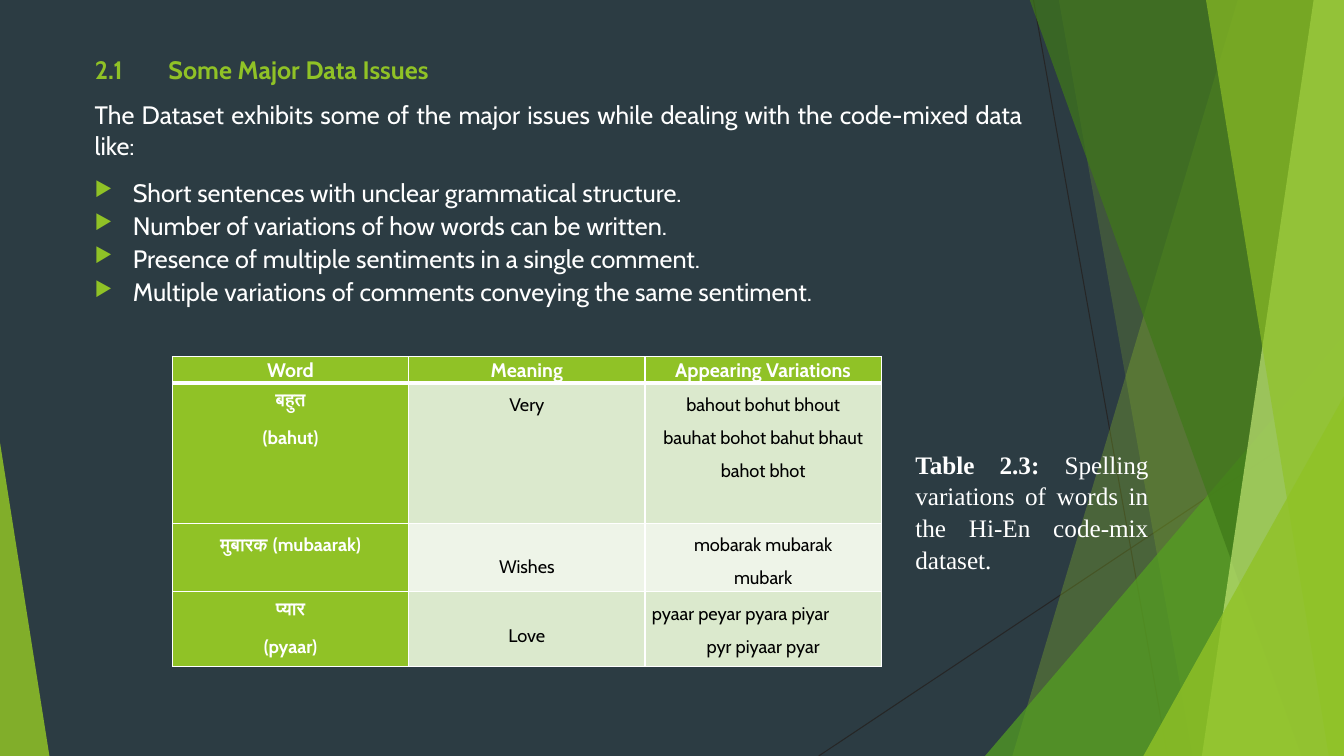
from dataclasses import dataclass

from lxml.etree import SubElement
from pptx import Presentation
from pptx.dml.color import RGBColor
from pptx.enum.shapes import MSO_CONNECTOR, MSO_SHAPE
from pptx.enum.text import MSO_ANCHOR, MSO_AUTO_SIZE, PP_ALIGN
from pptx.oxml import parse_xml
from pptx.oxml.ns import nsdecls, qn
from pptx.util import Inches, Pt

INK = {
    "night": "2C3C43", "lime": "90C226", "grass": "54A021", "moss": "3F7819",
    "pale": "C0E474", "white": "FFFFFF", "black": "000000", "coal": "262626",
    "mint": "DBE9CD", "mist": "EEF4E8",
}
TOP, BASE, EDGE = -0.01, 7.5, 13.33


@dataclass
class Shard:
    """Band to the right edge, given by its left ends."""
    top: float
    base: float
    tone: str
    alpha: int


@dataclass
class Wedge:
    """Right triangle on the bottom edge."""
    left: float
    top: float
    width: float
    tip: float
    tone: str
    alpha: int


@dataclass
class Para:
    """Text of one paragraph with its spacing in points."""
    text: str
    lead: float = 1.5
    above: float = 0
    below: float = 4.5
    align: PP_ALIGN = PP_ALIGN.CENTER


DECOR = [
    Shard(12.28, 10.04, "lime", 30),
    Shard(10.5, 11.83, "lime", 20),
    Wedge(9.77, 3.33, 3.56, 1, "grass", 72),
    Shard(10.21, 12.91, "moss", 70),
    Shard(13.03, 11.92, "pale", 70),
    Shard(11.96, 13.18, "lime", 65),
    Wedge(11.34, 3.93, 1.99, 1, "lime", 80),
    Wedge(0, 4.39, 0.49, 0, "lime", 85),
]
LINES = [(10.25, 0, 11.58, BASE), (EDGE, 4.03, 8.12, BASE)]
INTRO = ("The Dataset exhibits some of the major issues while dealing "
         "with the code-mixed data like:")
ISSUES = [
    "Short sentences with unclear grammatical structure.",
    "Number of variations of how words can be written.",
    "Presence of multiple sentiments in a single comment.",
    "Multiple variations of comments conveying the same sentiment.",
]
ROWS = [
    [[Para(head, 1.09)] for head in ("Word", "Meaning", "Appearing Variations")],
    [[Para("बहुत"), Para("(bahut)")],
     [Para("Very", above=12)],
     [Para("bahout bohut bhout", below=0),
      Para("bauhat bohot bahut bhaut", below=0), Para("bahot bhot")]],
    [[Para("मुबारक (mubaarak)")],
     [Para("Wishes", 2.5, 12)],
     [Para("mobarak mubarak", below=0), Para("mubark")]],
    [[Para("प्यार"), Para("(pyaar)")],
     [Para("Love", 2.5, 12)],
     [Para("pyaar peyar pyara piyar", below=0, align=PP_ALIGN.JUSTIFY),
      Para("pyr piyaar pyar")]],
]
HEIGHTS = [0.26, 1.39, 0.68, 0.74]


def color(tone: str) -> RGBColor:
    """Look up a colour."""
    return RGBColor.from_string(INK[tone])


def style(para, size: float, tone: str, bold=None, face: str = "Cabin") -> None:
    """Set the font of a paragraph."""
    font = para.font
    font.name, font.size, font.bold = face, Pt(size), bold
    font.color.rgb = color(tone)


def draw_line(slide, ends: tuple) -> None:
    """Draw a thin dark line."""
    line = slide.shapes.add_connector(MSO_CONNECTOR.STRAIGHT, *map(Inches, ends))
    line.line.color.rgb = color("coal")
    line.line.width = Pt(0.75)
    SubElement(line._element.spPr, qn("a:effectLst"))


def draw_decor(slide, part: Shard | Wedge) -> None:
    """Draw one translucent shard or wedge."""
    if isinstance(part, Shard):
        pen = slide.shapes.build_freeform(Inches(part.top), Inches(TOP))
        spots = [(EDGE, TOP), (EDGE, BASE), (part.base, BASE)]
        pen.add_line_segments([(Inches(x), Inches(y)) for x, y in spots])
        shape = pen.convert_to_shape()
    else:
        box = (part.left, part.top, part.width, BASE - part.top)
        shape = slide.shapes.add_shape(MSO_SHAPE.ISOSCELES_TRIANGLE, *map(Inches, box))
        shape.adjustments[0] = part.tip
    shape.shadow.inherit = False
    shape.line.fill.background()
    shape.fill.solid()
    shape.fill.fore_color.rgb = color(part.tone)
    tint = shape._element.spPr.find(qn("a:solidFill"))[0]
    SubElement(tint, qn("a:alpha"), val=str(part.alpha * 1000))


def add_title(slide) -> None:
    """Place the heading, with a tab after its number."""
    title = slide.shapes.title
    title.left, title.top, title.width, title.height = map(
        Inches, (0.84, 0.49, 9.4, 0.45))
    frame = title.text_frame
    frame.text = "2.1\tSome Major Data Issues"
    frame.vertical_anchor = MSO_ANCHOR.TOP
    frame.auto_size = MSO_AUTO_SIZE.NONE
    para = frame.paragraphs[0]
    para.alignment = PP_ALIGN.JUSTIFY
    tabs = SubElement(para._p.get_or_add_pPr(), qn("a:tabLst"))
    SubElement(tabs, qn("a:tab"), pos=str(Inches(0.73)), algn="l")
    style(para, 18, "lime", True)


def add_box(slide, *box: float):
    """Add a wrapping text box and return its frame."""
    frame = slide.shapes.add_textbox(*map(Inches, box)).text_frame
    frame.word_wrap = True
    frame.paragraphs[0].alignment = PP_ALIGN.JUSTIFY
    return frame


def add_issues(slide) -> None:
    """Write the opening sentence and the bullets."""
    frame = add_box(slide, 0.84, 0.94, 9.4, 2.2)
    lead = frame.paragraphs[0]
    lead.text = INTRO
    lead.space_after = Pt(10)
    style(lead, 18, "white")
    for issue in ISSUES:
        para = frame.add_paragraph()
        para.text = issue
        para.alignment = PP_ALIGN.JUSTIFY
        para.space_before = Pt(2)
        props = para._p.get_or_add_pPr()
        props.set("marL", str(Inches(0.38)))
        props.set("indent", str(-Inches(0.38)))
        SubElement(SubElement(props, qn("a:buClr")), qn("a:srgbClr"), val=INK["lime"])
        SubElement(props, qn("a:buSzPct"), val="80000")
        SubElement(props, qn("a:buChar"), char="▶")
        style(para, 18, "white")


def fill_cell(cell, paras: list[Para], row: int, col: int) -> None:
    """Write, fill and frame one table cell."""
    key = row == 0 or col == 0
    cell.margin_left = cell.margin_right = Inches(0.07)
    cell.margin_top = cell.margin_bottom = 0
    frame = cell.text_frame
    frame.text = "\n".join(item.text for item in paras)
    for para, item in zip(frame.paragraphs, paras):
        para.alignment, para.line_spacing = item.align, item.lead
        para.space_before, para.space_after = Pt(item.above), Pt(item.below)
        style(para, 13 if row else 14, "white" if key else "black", key)
    cell.fill.solid()
    cell.fill.fore_color.rgb = color("lime" if key else "mint" if row % 2 else "mist")
    heavy = {"B": 0, "T": 1}
    for spot, side in enumerate("LRTB"):
        width = Pt(3 if heavy.get(side) == row else 1)
        cell._tc.get_or_add_tcPr().insert(spot, parse_xml(
            f'<a:ln{side} {nsdecls("a")} w="{width}"><a:solidFill>'
            f'<a:srgbClr val="{INK["white"]}"/></a:solidFill></a:ln{side}>'))


def add_words(slide) -> None:
    """Build the table of spellings."""
    box = map(Inches, (1.71, 3.54, 7.03, sum(HEIGHTS)))
    table = slide.shapes.add_table(len(ROWS), len(ROWS[0]), *box).table
    for row, (height, cells) in enumerate(zip(HEIGHTS, ROWS)):
        table.rows[row].height = Inches(height)
        for col, paras in enumerate(cells):
            fill_cell(table.cell(row, col), paras, row, col)


def add_caption(slide) -> None:
    """Write the table caption."""
    para = add_box(slide, 8.98, 4.39, 2.51, 1.37).paragraphs[0]
    para.line_spacing = 1.05
    style(para, 18, "white", face="Times New Roman")
    label = para.add_run()
    label.text = "Table 2.3:"
    label.font.bold = True
    para.add_run().text = " Spelling variations of words in the Hi-En code-mix dataset."


def main() -> None:
    """Build and save the slide."""
    deck = Presentation()
    deck.slide_width, deck.slide_height = Inches(EDGE), Inches(BASE)
    slide = deck.slides.add_slide(deck.slide_layouts[5])
    slide.background.fill.solid()
    slide.background.fill.fore_color.rgb = color("night")
    for ends in LINES:
        draw_line(slide, ends)
    for part in DECOR:
        draw_decor(slide, part)
    add_title(slide)
    add_issues(slide)
    add_words(slide)
    add_caption(slide)
    deck.save("out.pptx")


if __name__ == "__main__":
    main()
